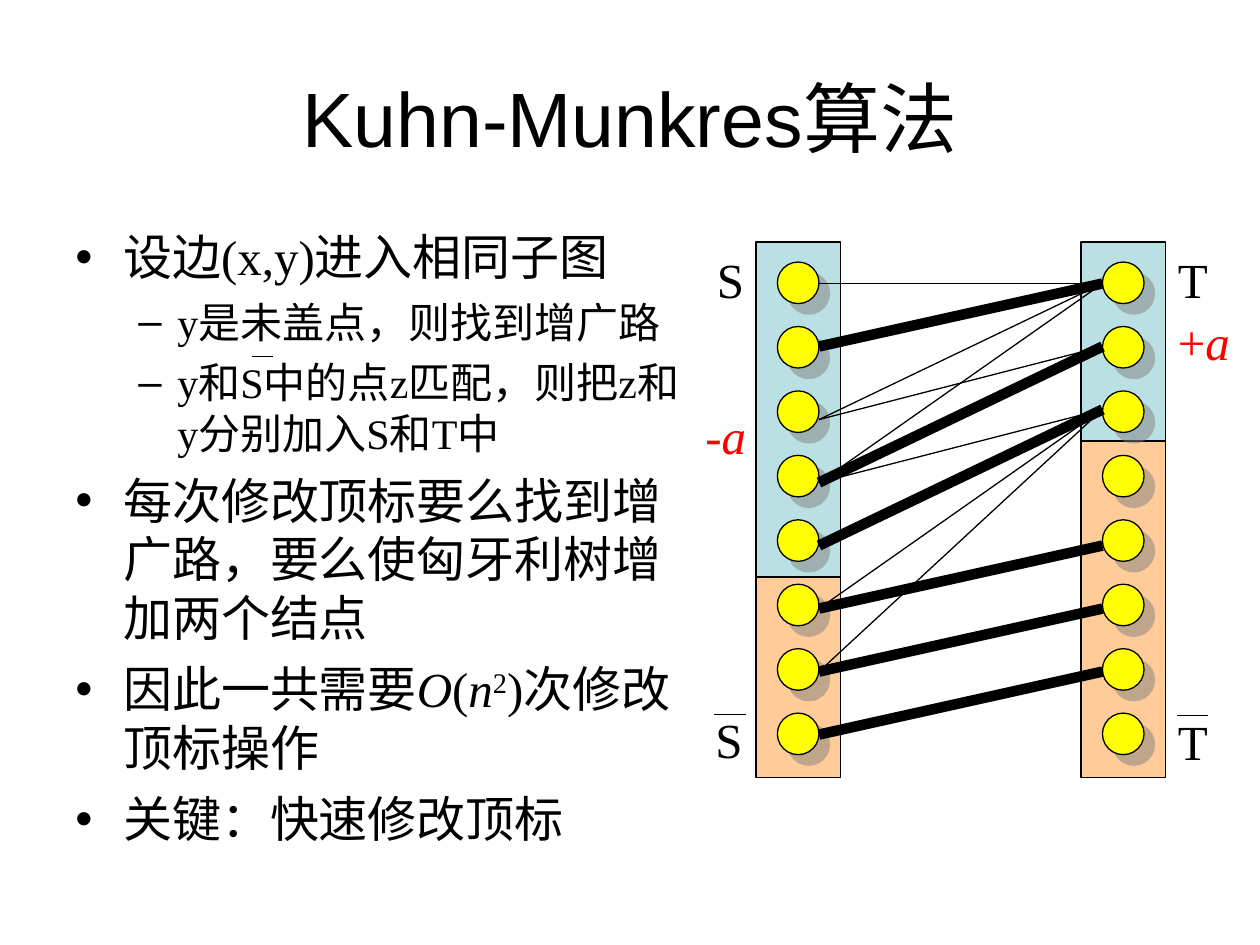
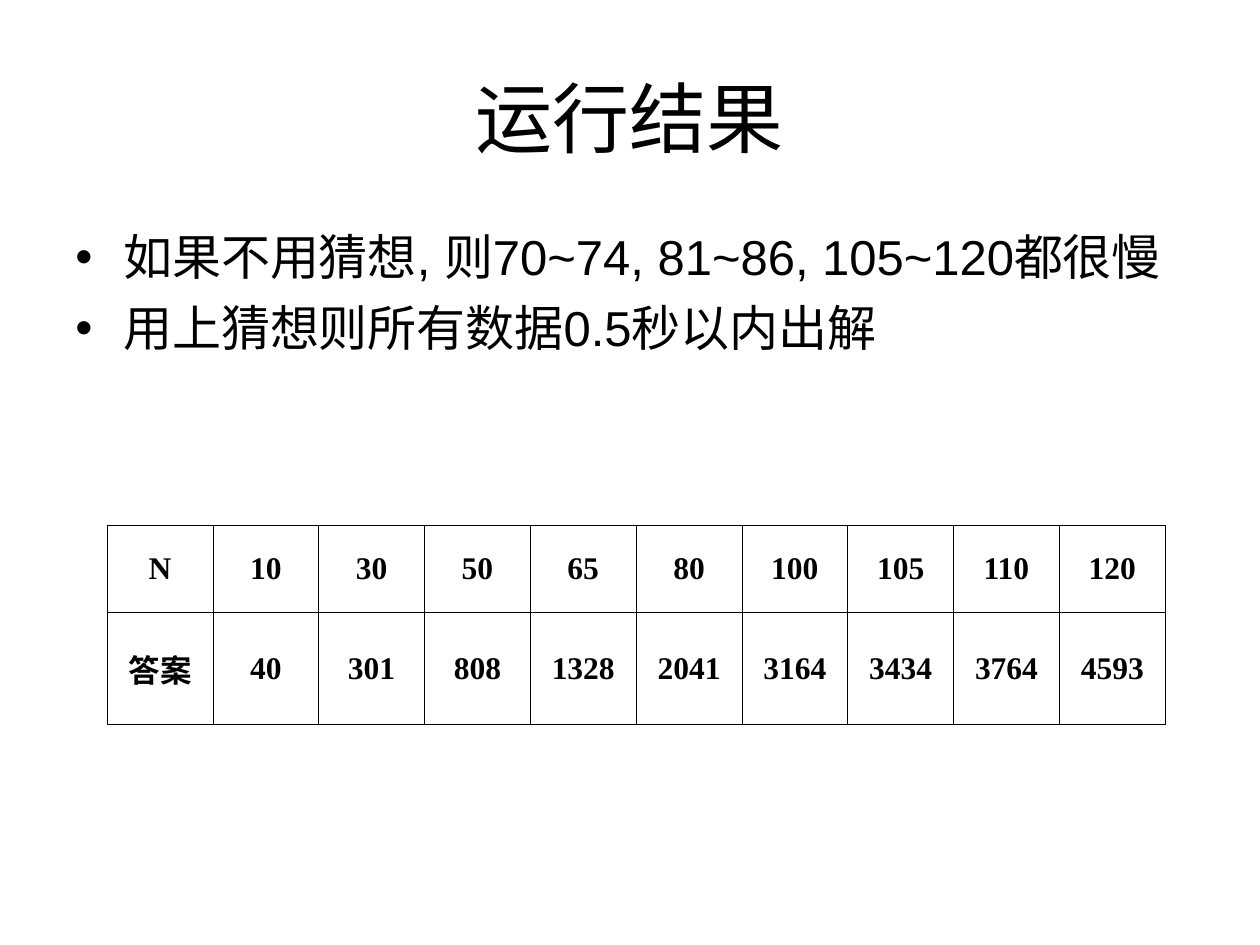
from typing import NamedTuple

from lxml import etree
from pptx import Presentation
from pptx.dml.color import RGBColor
from pptx.enum.shapes import MSO_CONNECTOR, MSO_SHAPE
from pptx.enum.text import MSO_ANCHOR, MSO_AUTO_SIZE, PP_ALIGN
from pptx.oxml.ns import qn
from pptx.util import Inches, Pt

RECT, OVAL = MSO_SHAPE.RECTANGLE, MSO_SHAPE.OVAL
STRAIGHT = MSO_CONNECTOR.STRAIGHT
MIDDLE = MSO_ANCHOR.MIDDLE
FIXED = MSO_AUTO_SIZE.NONE
CENTER = PP_ALIGN.CENTER

BLACK, RED = "000000", "FF0000"
BLUE, PEACH, YELLOW, GRAY = "BBE0E3", "FFCC99", "FFFF00", "808080"
SANS, SERIF = "Arial", "Times New Roman"
THIN, THICK = 0.75, 6
DOTS, DOT = 8, 0.33
TOP, BOTTOM = 1.92, 6.17


class Bit(NamedTuple):
    text: str
    style: str = ""


class Point(NamedTuple):
    bits: list[Bit]
    level: int = 0


class Level(NamedTuple):
    mark: str
    left: float
    hang: float
    size: float
    gap: float


class Side(NamedTuple):
    x: float
    split: float
    shift: int


class Edge(NamedTuple):
    left: int
    right: int
    width: float = THIN


class Label(NamedTuple):
    x: float
    y: float
    width: float
    bits: list[Bit]
    color: str = BLACK
    bar: tuple[float, float] | None = None


LEVELS = [Level("•", 0.38, 0.38, 28, 7), Level("–", 0.81, 0.31, 24, 6)]
LEFT, RIGHT = Side(6, 4.58, 2), Side(8.58, 3.5, 3)

STEPS = [
    Point([Bit("设边(x,y)进入相同子图")]),
    Point([Bit("y是未盖点，则找到增广路")], 1),
    Point([Bit("y和S中的点z匹配，则把z和y分别加入S和T中")], 1),
    Point([Bit("每次修改顶标要么找到增广路，要么使匈牙利树增加两个结点")]),
    Point([Bit("因此一共需要"), Bit("O", "i"), Bit("("), Bit("n", "i"),
           Bit("2", "sup"), Bit(")次修改顶标操作")]),
    Point([Bit("关键：快速修改顶标")]),
]
NOTES = [
    Point([Bit("如果不用猜想, 则70~74, 81~86, 105~120都很慢")]),
    Point([Bit("用上猜想则所有数据0.5秒以内出解")]),
]
EDGES = [
    Edge(0, 0), Edge(1, 0, THICK), Edge(2, 0), Edge(3, 0),
    Edge(2, 1), Edge(3, 1, THICK),
    Edge(3, 2), Edge(4, 2, THICK), Edge(5, 2), Edge(6, 2),
    Edge(5, 4, THICK), Edge(6, 5, THICK), Edge(7, 6, THICK),
]
LABELS = [
    Label(5.59, 1.93, 0.41, [Bit("S")]),
    Label(5.58, 5.58, 0.41, [Bit("S")], bar=(5.67, 5.67)),
    Label(9.25, 5.6, 0.44, [Bit("T")], bar=(9.34, 5.68)),
    Label(9.25, 1.93, 0.44, [Bit("T")]),
    Label(5.5, 3.17, 0.58, [Bit("-"), Bit("a", "i")], RED),
    Label(9.25, 2.42, 0.75, [Bit("+"), Bit("a", "i")], RED),
]
RESULTS = [
    ["N", "10", "30", "50", "65", "80", "100", "105", "110", "120"],
    ["答案", "40", "301", "808", "1328", "2041", "3164", "3434", "3764", "4593"],
]


def rgb(color: str) -> RGBColor:
    return RGBColor.from_string(color)


def add_tag(parent, tag: str, **attrs):
    node = etree.SubElement(parent, qn(tag))
    for key, value in attrs.items():
        node.set(key, str(value))
    return node


def style_run(run, font: str, size: float, color: str = BLACK) -> None:
    run.font.name = font
    run.font.size = Pt(size)
    run.font.color.rgb = rgb(color)


def fill_para(para, bits: list[Bit], font: str, size: float, color: str = BLACK) -> None:
    for bit in bits:
        run = para.add_run()
        run.text = bit.text
        style_run(run, font, size, color)
        if bit.style == "i":
            run.font.italic = True
        if bit.style == "sup":
            run._r.get_or_add_rPr().set("baseline", "30000")


def add_box(shapes, x: float, y: float, width: float, height: float):
    box = shapes.add_textbox(Inches(x), Inches(y), Inches(width), Inches(height))
    box.text_frame.word_wrap = True
    return box.text_frame


def add_title(deck, text: str):
    slide = deck.slides.add_slide(deck.slide_layouts[5])
    title = slide.shapes.title
    title.left, title.top = Inches(0.5), Inches(0.3)
    title.width, title.height = Inches(9), Inches(1.25)
    frame = title.text_frame
    frame.text = text
    frame.auto_size = FIXED
    frame.vertical_anchor = MIDDLE
    para = frame.paragraphs[0]
    para.alignment = CENTER
    style_run(para.runs[0], SANS, 44)
    return slide


def add_points(shapes, points: list[Point], width: float, height: float, font: str) -> None:
    frame = add_box(shapes, 0.5, 1.75, width, height)
    for index, point in enumerate(points):
        para = frame.add_paragraph() if index else frame.paragraphs[0]
        level = LEVELS[point.level]
        props = para._p.get_or_add_pPr()
        props.set("marL", str(Inches(level.left)))
        props.set("indent", str(-Inches(level.hang)))
        add_tag(add_tag(props, "a:buClr"), "a:srgbClr", val=BLACK)
        add_tag(props, "a:buFont", typeface=SANS)
        add_tag(props, "a:buChar", char=level.mark)
        para.level = point.level
        para.space_before = Pt(level.gap if index else 0)
        fill_para(para, point.bits, font, level.size)


def add_form(shapes, kind, x: float, y: float, width: float, height: float, color: str):
    form = shapes.add_shape(kind, Inches(x), Inches(y), Inches(width), Inches(height))
    form.shadow.inherit = False
    form.fill.solid()
    form.fill.fore_color.rgb = rgb(color)
    form.line.color.rgb = rgb(BLACK)
    form.line.width = Pt(THIN)
    return form


def add_line(shapes, x1: float, y1: float, x2: float, y2: float, width: float = THIN) -> None:
    line = shapes.add_connector(STRAIGHT, Inches(x1), Inches(y1), Inches(x2), Inches(y2))
    line.line.color.rgb = rgb(BLACK)
    line.line.width = Pt(width)
    add_tag(line._element.spPr, "a:effectLst")


def add_side(shapes, side: Side) -> None:
    add_form(shapes, RECT, side.x, TOP, 0.67, side.split - TOP, BLUE)
    add_form(shapes, RECT, side.x, side.split, 0.67, BOTTOM - side.split, PEACH)
    group = shapes.add_group_shape()
    pitch = 3.58 / (DOTS - 1)
    for index in range(DOTS):
        dot = add_form(group.shapes, OVAL, side.x + 0.17, 2.08 + pitch * index, DOT, DOT, YELLOW)
        effects = dot._element.spPr.find(qn("a:effectLst"))
        shadow = add_tag(effects, "a:outerShdw", blurRad=0, dist=Pt(8.5),
                         dir=2700000, algn="ctr", rotWithShape=0)
        add_tag(add_tag(shadow, "a:srgbClr", val=GRAY), "a:alpha", val=50000)


def port(side: Side, index: int) -> float:
    return 2.25 + 0.5 * index + (0.08 if index >= side.shift else 0)


def add_label(shapes, label: Label) -> None:
    if label.bar:
        shapes = shapes.add_group_shape().shapes
    frame = add_box(shapes, label.x, label.y, label.width, 0.57)
    fill_para(frame.paragraphs[0], label.bits, SERIF, 28, label.color)
    if label.bar:
        x, y = label.bar
        add_line(shapes, x, y, x + 0.25, y)


def style_cell(cell, text: str) -> None:
    cell.text_frame.text = text
    cell.vertical_anchor = MIDDLE
    para = cell.text_frame.paragraphs[0]
    para.alignment = CENTER
    style_run(para.runs[0], SERIF, 18)
    para.runs[0].font.bold = True
    props = cell._tc.get_or_add_tcPr()
    for edge in ("a:lnL", "a:lnR", "a:lnT", "a:lnB"):
        line = add_tag(props, edge, w=Pt(0.45))
        add_tag(add_tag(line, "a:solidFill"), "a:srgbClr", val=BLACK)
    cell.fill.background()


def add_grid(shapes, rows: list[list[str]]) -> None:
    table = shapes.add_table(len(rows), len(rows[0]), Inches(0.85), Inches(4.17),
                             Inches(8.4), Inches(1.58)).table
    table.first_row = table.horz_banding = False
    for row, height in zip(table.rows, (0.69, 0.89)):
        row.height = Inches(height)
    for row, texts in zip(table.rows, rows):
        for cell, text in zip(row.cells, texts):
            style_cell(cell, text)


def draw_match(deck) -> None:
    shapes = add_title(deck, "Kuhn-Munkres算法").shapes
    add_points(shapes, STEPS, 5, 5.25, SERIF)
    for side in (LEFT, RIGHT):
        add_side(shapes, side)
    for label in LABELS:
        add_label(shapes, label)
    for edge in EDGES:
        add_line(shapes, 6.5, port(LEFT, edge.left), 8.75, port(RIGHT, edge.right), edge.width)
    add_line(shapes, 2, 2.83, 2.17, 2.83)


def draw_results(deck) -> None:
    shapes = add_title(deck, "运行结果").shapes
    add_points(shapes, NOTES, 9.08, 4.95, SANS)
    add_grid(shapes, RESULTS)


def main() -> None:
    deck = Presentation()
    deck.slide_width, deck.slide_height = Inches(10), Inches(7.5)
    draw_match(deck)
    draw_results(deck)
    deck.save("out.pptx")


if __name__ == "__main__":
    main()
